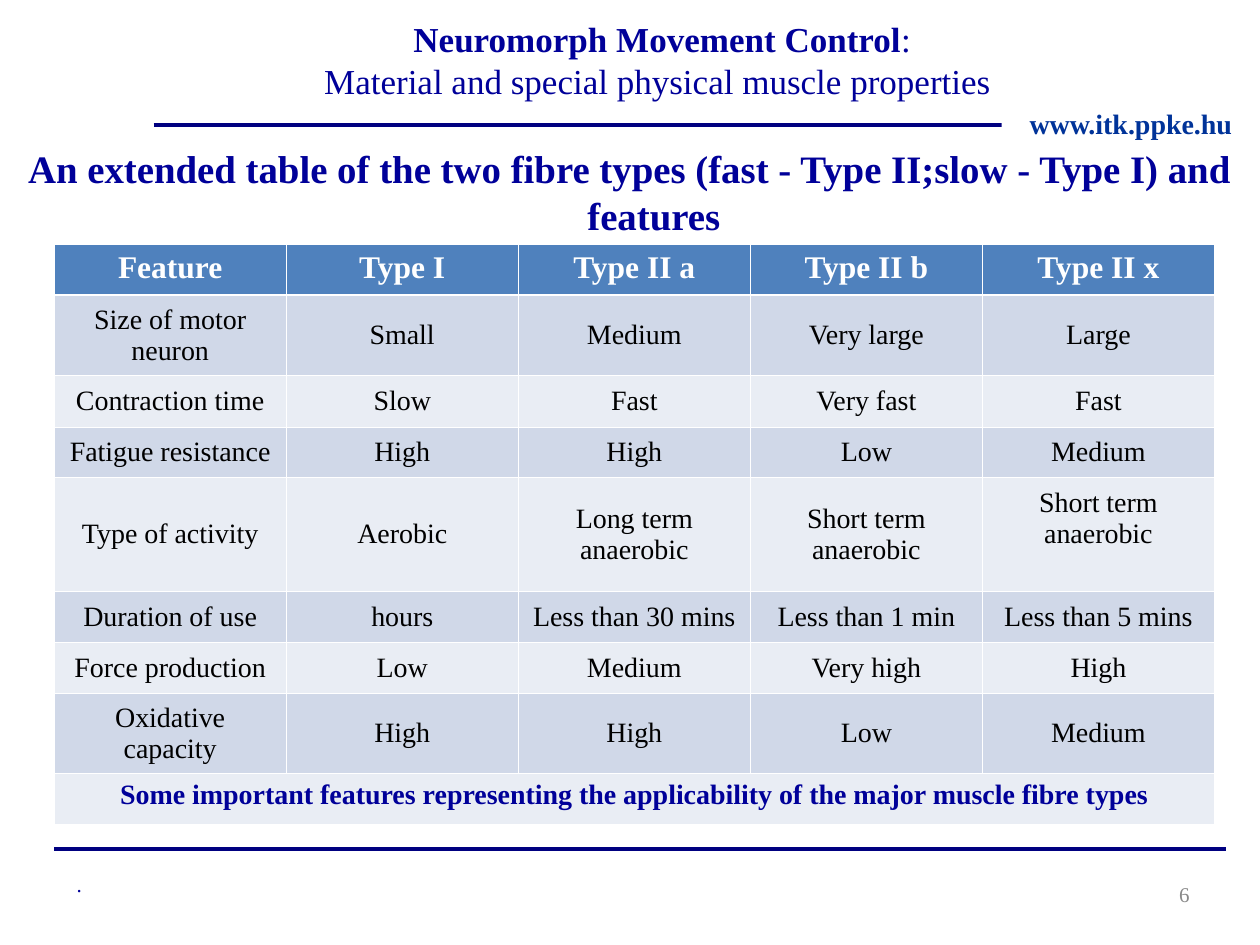
from dataclasses import dataclass

from lxml.etree import SubElement
from pptx import Presentation
from pptx.dml.color import RGBColor
from pptx.enum.shapes import MSO_CONNECTOR, MSO_SHAPE
from pptx.enum.text import MSO_ANCHOR, MSO_AUTO_SIZE, PP_ALIGN
from pptx.oxml.ns import qn
from pptx.util import Emu, Pt


@dataclass(frozen=True)
class Theme:
    font: str = "Times New Roman"
    ink: str = "000099"
    rule: str = "000080"
    address: str = "003399"
    number: str = "898989"
    cell_text: str = "000000"
    white: str = "FFFFFF"
    header: str = "4F81BD"
    bands: tuple = ("D0D8E8", "E9EDF4")
    heading_size: float = 20
    subject_size: float = 22.2
    column_size: float = 18
    cell_size: float = 16
    footer_size: float = 12
    rule_width: float = 2.25
    grid_width: float = 0.45
    header_edge: float = 1.47


THEME = Theme()
SCALE = 9144

FEATURES = [
    ["Feature", "Type I", "Type II a", "Type II b", "Type II x"],
    ["Size of motor neuron", "Small", "Medium", "Very large", "Large"],
    ["Contraction time", "Slow", "Fast", "Very fast", "Fast"],
    ["Fatigue resistance", "High", "High", "Low", "Medium"],
    ["Type of activity", "Aerobic", "Long term anaerobic",
     "Short term anaerobic", "Short term anaerobic"],
    ["Duration of use", "hours", "Less than 30 mins", "Less than 1 min", "Less than 5 mins"],
    ["Force production", "Low", "Medium", "Very high", "High"],
    ["Oxidative capacity", "High", "High", "Low", "Medium"],
]
SUMMARY = "Some important features representing the applicability of the major muscle fibre types"
ROW_HEIGHTS = [40, 64, 41, 40, 90, 41, 40, 64, 40]


def px(length):
    return Emu(length * SCALE)


def rgb(value):
    return RGBColor.from_string(value)


def style(para, size, color, bold=False, align=PP_ALIGN.CENTER):
    para.alignment = align
    para.space_before = Pt(0)
    para.font.name = THEME.font
    para.font.size = Pt(size)
    para.font.bold = bold
    para.font.color.rgb = rgb(color)


def place(shape, box):
    shape.left, shape.top, shape.width, shape.height = map(px, box)


def set_frame(frame, anchor, side=10, top=5):
    frame.word_wrap = True
    frame.auto_size = MSO_AUTO_SIZE.NONE
    frame.vertical_anchor = anchor
    frame.margin_left = frame.margin_right = px(side)
    frame.margin_top = px(top)
    frame.margin_bottom = px(min(top, 5))


def add_rule(page, left, top, width):
    rule = page.shapes.add_connector(
        MSO_CONNECTOR.STRAIGHT, px(left), px(top), px(left + width), px(top))
    rule.line.color.rgb = rgb(THEME.rule)
    rule.line.width = Pt(THEME.rule_width)
    SubElement(rule.element.spPr, qn("a:effectLst"))
    return rule


def add_address(page, box):
    plate = page.shapes.add_shape(MSO_SHAPE.RECTANGLE, *map(px, box))
    plate.shadow.inherit = False
    plate.fill.solid()
    plate.fill.fore_color.rgb = rgb(THEME.white)
    plate.line.fill.background()
    set_frame(plate.text_frame, MSO_ANCHOR.TOP)
    para = plate.text_frame.paragraphs[0]
    para.text = "www.itk.ppke.hu"
    style(para, THEME.cell_size, THEME.address, bold=True)
    return plate


def fill_heading(page, box):
    title = page.shapes.title
    place(title, box)
    set_frame(title.text_frame, MSO_ANCHOR.MIDDLE, side=0, top=0)
    para = title.text_frame.paragraphs[0]
    topic = para.add_run()
    topic.text = "Neuromorph Movement Control"
    topic.font.bold = True
    para.add_run().text = ":"
    para.add_line_break()
    para.add_run().text = "Material and special physical muscle properties "
    style(para, THEME.heading_size, THEME.ink)


def fill_subject(page, box):
    body = page.placeholders[1]
    place(body, box)
    set_frame(body.text_frame, MSO_ANCHOR.TOP, side=0, top=8)
    para = body.text_frame.paragraphs[0]
    para.text = ("An extended table of the two fibre types "
                 "(fast - Type II;slow - Type I) and features")
    properties = para._p.get_or_add_pPr()
    properties.set("marL", str(px(38)))
    properties.set("indent", str(px(-38)))
    SubElement(properties, qn("a:buNone"))
    style(para, THEME.subject_size, THEME.ink, bold=True)


def set_borders(cell, top, bottom):
    properties = cell._tc.get_or_add_tcPr()
    widths = {"L": THEME.grid_width, "R": THEME.grid_width, "T": top, "B": bottom}
    for side, width in widths.items():
        line = SubElement(properties, qn(f"a:ln{side}"), w=str(int(Pt(width))))
        fill = SubElement(line, qn("a:solidFill"))
        SubElement(fill, qn("a:srgbClr"), val=THEME.white)


def format_cell(cell, row):
    header, summary = row == 0, row == len(FEATURES)
    set_borders(cell,
                THEME.header_edge if row == 1 else THEME.grid_width,
                THEME.header_edge if header else THEME.grid_width)
    cell.fill.solid()
    cell.fill.fore_color.rgb = rgb(THEME.header if header else THEME.bands[(row - 1) % 2])
    cell.vertical_anchor = MSO_ANCHOR.TOP if header or summary else MSO_ANCHOR.MIDDLE
    cell.margin_left = cell.margin_right = px(10)
    cell.margin_top = cell.margin_bottom = px(5)
    color = THEME.white if header else THEME.ink if summary else THEME.cell_text
    size = THEME.column_size if header else THEME.cell_size
    style(cell.text_frame.paragraphs[0], size, color, bold=header or summary)


def add_features(page, box):
    columns = len(FEATURES[0])
    table = page.shapes.add_table(len(ROW_HEIGHTS), columns, *map(px, box)).table
    for row, height in zip(table.rows, ROW_HEIGHTS):
        row.height = px(height)
    for row, labels in enumerate(FEATURES + [[SUMMARY] + [""] * (columns - 1)]):
        for column, label in enumerate(labels):
            cell = table.cell(row, column)
            if label:
                cell.text = label
            format_cell(cell, row)
    last = len(FEATURES)
    table.cell(last, 0).merge(table.cell(last, columns - 1))
    table.cell(4, columns - 1).margin_bottom = px(30)


def add_footer(page, box, text, color, align):
    note = page.shapes.add_textbox(*map(px, box))
    set_frame(note.text_frame, MSO_ANCHOR.MIDDLE)
    para = note.text_frame.paragraphs[0]
    para.text = text
    style(para, THEME.footer_size, color, align=align)


def main():
    deck = Presentation()
    deck.slide_width, deck.slide_height = px(1000), px(750)
    page = deck.slides.add_slide(deck.slide_layouts[1])
    backdrop = [
        add_rule(page, 43, 674, 930),
        add_rule(page, 122, 99, 811),
        add_address(page, (795, 80, 205, 77)),
    ]
    for shape in backdrop:
        page.shapes.title.element.addprevious(shape.element)
    fill_heading(page, (126, 21, 799, 52))
    fill_subject(page, (0, 107, 1000, 87))
    add_features(page, (43, 194, 921, 460))
    add_footer(page, (51, 682, 212, 40), ".", THEME.ink, PP_ALIGN.LEFT)
    add_footer(page, (910, 690, 44, 40), "6", THEME.number, PP_ALIGN.RIGHT)
    deck.save("out.pptx")


if __name__ == "__main__":
    main()
